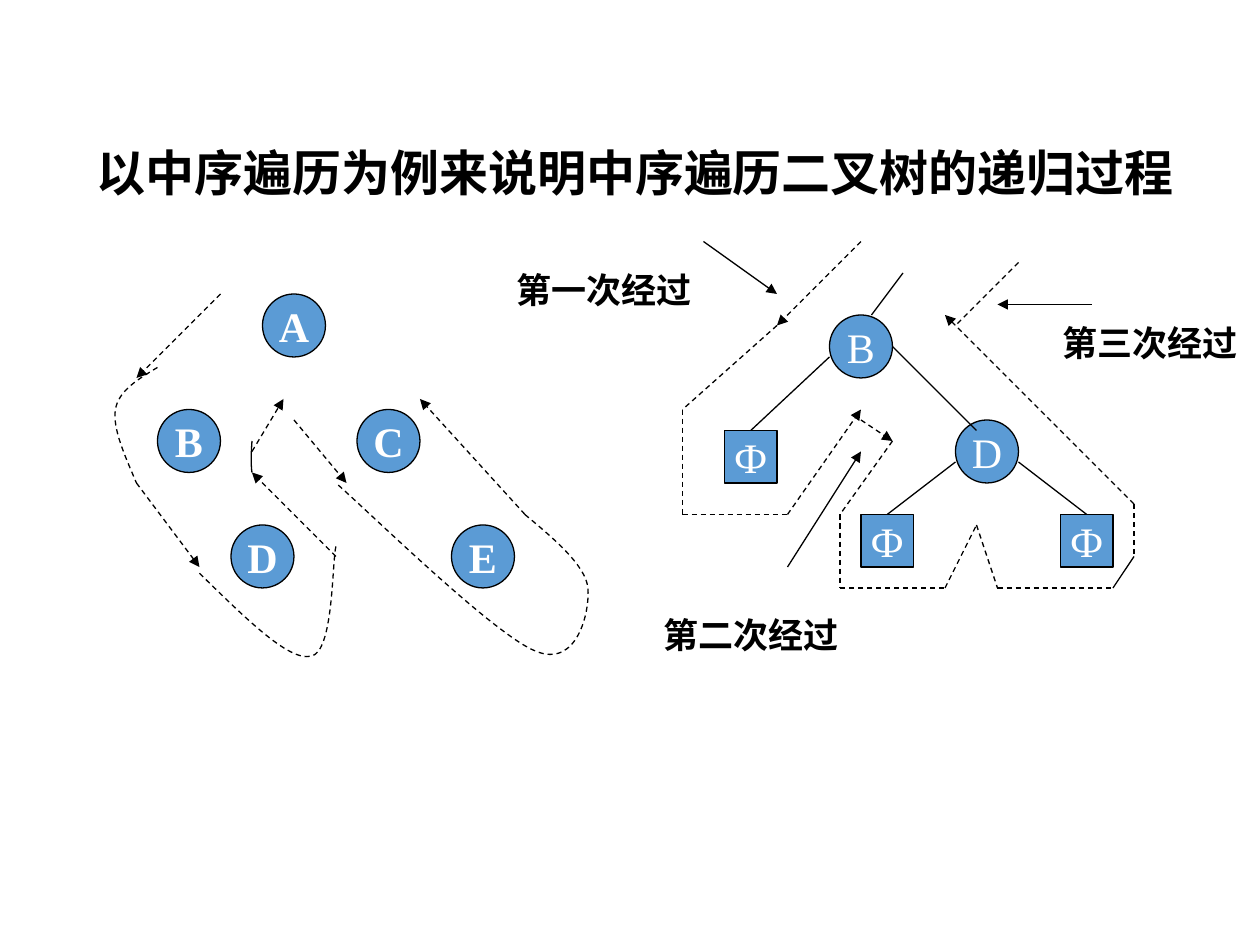
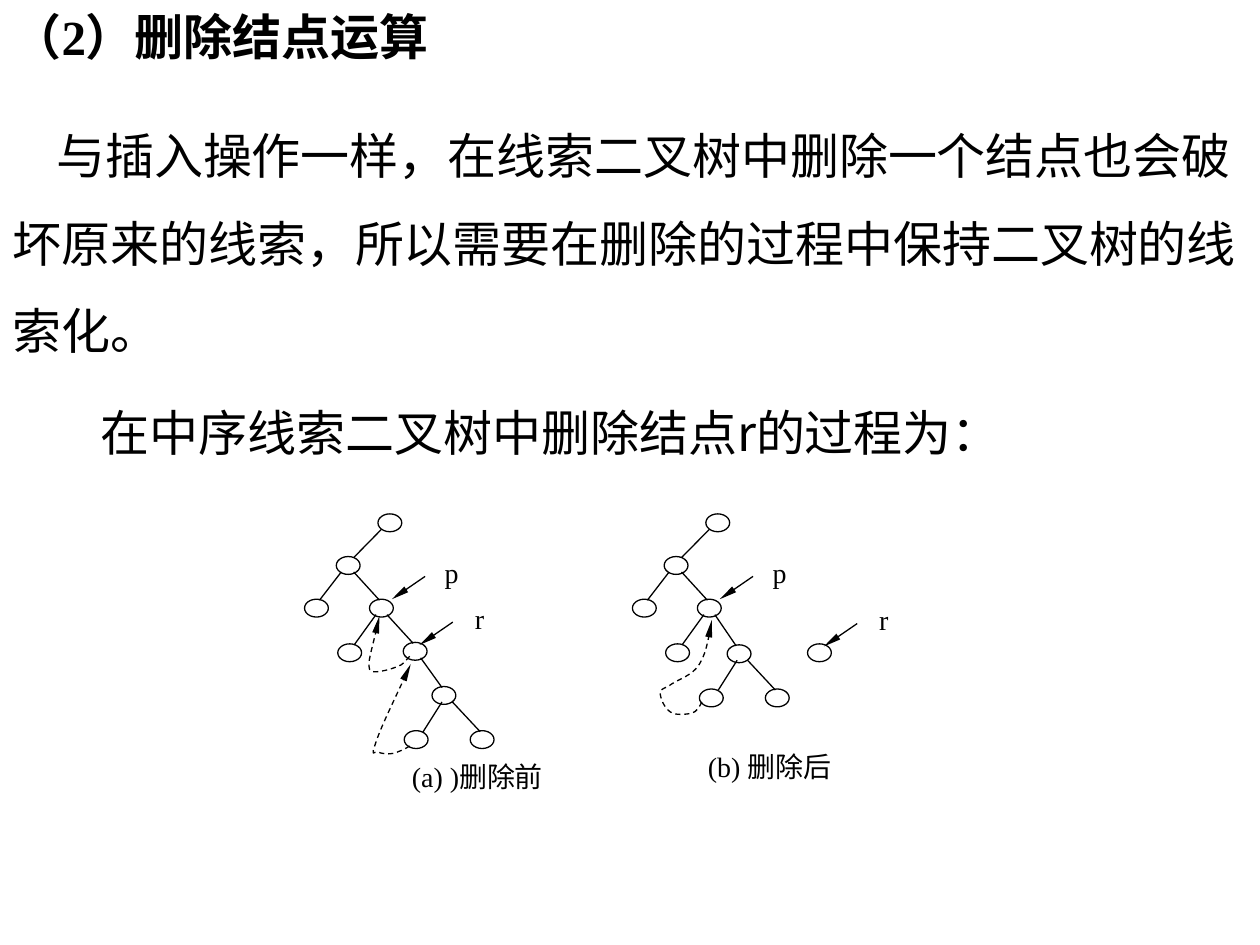
from itertools import pairwise

from lxml.etree import SubElement
from pptx import Presentation
from pptx.dml.color import RGBColor
from pptx.enum.dml import MSO_LINE
from pptx.enum.shapes import MSO_CONNECTOR, MSO_SHAPE
from pptx.enum.text import MSO_ANCHOR, MSO_AUTO_SIZE, PP_ALIGN
from pptx.oxml.ns import qn
from pptx.util import Cm, Pt

BLACK = RGBColor(0x00, 0x00, 0x00)
WHITE = RGBColor(0xFF, 0xFF, 0xFF)
NODE_BLUE = RGBColor(0x5B, 0x9B, 0xD5)
LATIN_FONT = "Times New Roman"
CHINESE_FONT = "Noto Sans CJK SC"
GRID = 2.54 / 12
NODE_WIDTH, NODE_HEIGHT = 0.48, 0.36
AFTER_SHIFT = 6.61
WIDE_ARROW = {"type": "triangle"}
SLIM_ARROW = {"type": "triangle", "w": "sm", "len": "lg"}

UPPER_NODES = {"root": (7.86, 10.54), "left": (7.02, 11.4), "leaf": (6.38, 12.26),
               "p": (7.69, 12.26), "p_left": (7.05, 13.16)}
UPPER_EDGES = [("root", "left", -0.17, 0.11), ("left", "leaf", -0.14, 0.06),
               ("left", "p", 0.11, -0.04), ("p", "p_left", -0.11, 0.09)]
LOWER_EDGES = [("child", "child_left", -0.04, 0.14), ("child", "child_right", 0.17, -0.04)]


def on_grid(*points):
    return [(x * GRID, y * GRID) for x, y in points]


def style_runs(paragraph, size, color=BLACK, bold=False, font=LATIN_FONT):
    for run in paragraph.runs:
        run.font.size = Pt(size)
        run.font.bold = bold
        run.font.name = font
        run.font.color.rgb = color
        SubElement(run.font._element, qn("a:ea"), typeface=CHINESE_FONT)


def place(shape, left, top, width, height):
    shape.left, shape.top = Cm(left), Cm(top)
    shape.width, shape.height = Cm(width), Cm(height)


def write_line(frame, text, size, align, **style):
    frame.text = text
    frame.auto_size = MSO_AUTO_SIZE.NONE
    frame.vertical_anchor = MSO_ANCHOR.MIDDLE
    frame.paragraphs[0].alignment = align
    style_runs(frame.paragraphs[0], size, **style)


def set_title(slide, text, left, top, width):
    place(slide.shapes.title, left, top, width, 1.45)
    write_line(slide.shapes.title.text_frame, text, 28, PP_ALIGN.LEFT, bold=True)


def add_label(slide, text, left, top, width, height, size, align, bold=False):
    label = slide.shapes.add_textbox(Cm(left), Cm(top), Cm(width), Cm(height))
    label.text_frame.word_wrap = True
    write_line(label.text_frame, text, size, align, bold=bold)


def style_line(line, dashed=False, arrow=None):
    line.color.rgb = BLACK
    line.width = Pt(0.75)
    if dashed:
        line.dash_style = MSO_LINE.DASH
    if arrow:
        SubElement(line._get_or_add_ln(), qn("a:tailEnd"), arrow)


def add_line(slide, start, end, dashed=False, arrow=None):
    x1, y1, x2, y2 = (Cm(value) for value in (*start, *end))
    connector = slide.shapes.add_connector(MSO_CONNECTOR.STRAIGHT, x1, y1, x2, y2)
    style_line(connector.line, dashed, arrow)
    SubElement(connector._element.spPr, qn("a:effectLst"))
    return connector


def add_route(slide, points):
    for start, end in pairwise(points):
        add_line(slide, start, end, dashed=True)


def add_curve(slide, points, dashed=True, arrow=None):
    start, *controls = [(Cm(x), Cm(y)) for x, y in points]
    builder = slide.shapes.build_freeform(*start)
    builder.add_line_segments(controls, close=False)
    curve = builder.convert_to_shape()
    outline = next(curve._element.iter(qn("a:path")))
    segments = outline.findall(qn("a:lnTo"))
    for first in range(0, len(segments), 3):
        bend = SubElement(outline, qn("a:cubicBezTo"))
        for segment in segments[first:first + 3]:
            bend.append(segment[0])
            outline.remove(segment)
    curve.shadow.inherit = False
    curve.fill.background()
    style_line(curve.line, dashed, arrow)


def add_named_node(slide, name, column, row, bold=False, kind=MSO_SHAPE.OVAL, cells=6):
    left, top, side = (Cm(cell * GRID) for cell in (column, row, cells))
    node = slide.shapes.add_shape(kind, left, top, side, side)
    node.shadow.inherit = False
    node.fill.solid()
    node.fill.fore_color.rgb = NODE_BLUE
    style_line(node.line)
    node.text_frame.word_wrap = False
    write_line(node.text_frame, name, 24, PP_ALIGN.CENTER, color=WHITE, bold=bold)
    return node


def add_small_node(slide, x, y):
    node = slide.shapes.add_shape(
        MSO_SHAPE.OVAL, Cm(x - NODE_WIDTH / 2), Cm(y - NODE_HEIGHT / 2),
        Cm(NODE_WIDTH), Cm(NODE_HEIGHT))
    node.shadow.inherit = False
    node.fill.background()
    style_line(node.line)


def add_small_tree(slide, nodes, edges):
    for x, y in nodes.values():
        add_small_node(slide, x, y)
    for parent, child, start_shift, end_shift in edges:
        (x1, y1), (x2, y2) = nodes[parent], nodes[child]
        add_line(slide, (x1 + start_shift, y1 + 0.13), (x2 + end_shift, y2 - 0.16))


def add_pointer(slide, name, x, y):
    add_line(slide, (x + 0.76, y - 0.59), (x + 0.09, y - 0.13), arrow=SLIM_ARROW)
    add_label(slide, name, x + 0.28, y - 1.09, 2.03, 0.84, 16, PP_ALIGN.CENTER)


def add_deletion_tree(slide, shift, child, r_node, link_edges):
    nodes = {name: (x + shift, y) for name, (x, y) in UPPER_NODES.items()}
    x, y = child
    nodes |= {"r": r_node, "child": child, "child_left": (x - 0.56, y + 0.89),
              "child_right": (x + 0.77, y + 0.89)}
    add_small_tree(slide, nodes, UPPER_EDGES + link_edges + LOWER_EDGES)
    p_x, p_y = nodes["p"]
    add_pointer(slide, "p", p_x + 0.12, p_y - 0.05)
    add_pointer(slide, "r", *r_node)


def add_body(slide, entries):
    body = slide.placeholders[1]
    place(body, 0, 1.83, 25.4, 8)
    frame = body.text_frame
    frame.auto_size = MSO_AUTO_SIZE.NONE
    frame.vertical_anchor = MSO_ANCHOR.TOP
    for index, (text, indent, space_before) in enumerate(entries):
        paragraph = frame.add_paragraph() if index else frame.paragraphs[0]
        paragraph.text = text
        properties = paragraph._p.get_or_add_pPr()
        properties.set("marL", "0")
        properties.set("indent", str(Cm(indent)))
        SubElement(properties, qn("a:buNone"))
        paragraph.alignment = PP_ALIGN.LEFT
        paragraph.line_spacing = Pt(50)
        paragraph.space_before = Pt(space_before)
        style_runs(paragraph, 28, font=CHINESE_FONT)


def add_traversal_loop(slide):
    for name, column, row in [("A", 25, 28), ("B", 15, 39), ("D", 22, 50),
                              ("C", 34, 39), ("E", 43, 50)]:
        add_named_node(slide, name, column, row, bold=True)
    for ends in [((21, 28), (13, 36)), ((13, 46), (19, 54)), ((32, 53), (24, 45)),
                 ((28, 40), (33, 46)), ((50, 49), (40, 38)), ((24, 43), (27, 38))]:
        add_line(slide, *on_grid(*ends), dashed=True, arrow=WIDE_ARROW)
    add_curve(slide, on_grid((24, 42), (23.9, 43.2), (23.9, 44.5), (24, 45)), dashed=False)
    for curve in [
        [(19, 54.6), (23.3, 58.8), (27.5, 63), (29.6, 62.5),
         (31.8, 62.2), (31.6, 53.6), (32, 52)],
        [(15, 35), (13.2, 36.1), (11.3, 37.2), (11, 39),
         (10.7, 40.8), (11.9, 43.4), (13, 46)],
        [(50, 49), (52.9, 51.4), (55.8, 53.9), (56, 56), (56.2, 58.2), (55, 63.7),
         (51, 62), (47, 60.4), (35.2, 48.8), (32, 46)],
    ]:
        add_curve(slide, on_grid(*curve))


def add_three_passes(slide):
    add_named_node(slide, "B", 79, 30)
    add_named_node(slide, "D", 91, 40)
    for column, row, branch in [(69, 41, (79, 34)), (82, 49, (91, 44)), (101, 49, (97, 44))]:
        empty_node = add_named_node(slide, "Ф", column, row, kind=MSO_SHAPE.RECTANGLE, cells=5)
        edge = add_line(slide, *on_grid(branch, (column + 2.5, row)))
        edge.end_connect(empty_node, 0)
    for ends in [((85, 33), (93, 41)), ((86, 26), (83, 30)), ((106, 56), (108, 53))]:
        add_line(slide, *on_grid(*ends))
    for ends in [((82, 23), (74, 31)), ((75, 49), (82, 39)),
                 ((82, 40), (85, 42)), ((108, 48), (90, 30))]:
        add_line(slide, *on_grid(*ends), dashed=True, arrow=WIDE_ARROW)
    for route in [
        [(74, 31), (65, 39), (65, 49), (75, 49)],
        [(85, 42), (80, 49), (80, 56), (90, 56), (93, 50), (95, 56), (106, 56)],
        [(108, 48), (108, 53)],
        [(97, 25), (91, 31)],
    ]:
        add_route(slide, on_grid(*route))
    for text, corner, ends in [
        ("第一次经过", (48, 25), ((67, 23), (74, 28))),
        ("第二次经过", (62, 57.8), ((75, 54), (82, 43))),
        ("第三次经过", (100, 30), ((104, 29), (95, 29))),
    ]:
        add_line(slide, *on_grid(*ends), arrow=WIDE_ARROW)
        (left, top), = on_grid(corner)
        add_label(slide, text, left, top, 4.23, 1.1, 20, PP_ALIGN.LEFT, bold=True)


def add_before_deletion(slide):
    add_deletion_tree(slide, 0, (8.95, 14.02), (8.37, 13.13),
                      [("p", "r", 0.11, -0.04), ("r", "child", 0.11, -0.04)])
    add_curve(slide, [(8.26, 13.23), (8.18, 13.31), (8.13, 13.41), (8, 13.44),
                      (7.9, 13.49), (7.62, 13.56), (7.52, 13.54), (7.44, 13.51),
                      (7.44, 13.51), (7.44, 13.34), (7.47, 13.16), (7.57, 12.8),
                      (7.65, 12.42)], arrow=SLIM_ARROW)
    add_curve(slide, [(8.26, 15.04), (8.15, 15.11), (8.03, 15.16), (7.92, 15.19),
                      (7.82, 15.21), (7.67, 15.19), (7.62, 15.16), (7.54, 15.14),
                      (7.47, 15.29), (7.57, 14.99), (7.67, 14.68), (7.98, 14.05),
                      (8.28, 13.39)], arrow=SLIM_ARROW)
    add_label(slide, "(a) )删除前", 7.68, 15.15, 3.89, 0.99, 16, PP_ALIGN.CENTER)


def add_after_deletion(slide):
    add_deletion_tree(slide, AFTER_SHIFT, (14.9, 13.18), (16.52, 13.16),
                      [("p", "child", 0.11, -0.06)])
    add_curve(slide, [(14.15, 14.15), (14.1, 14.25), (14.05, 14.35), (13.94, 14.38),
                      (13.84, 14.4), (13.61, 14.43), (13.51, 14.35), (13.39, 14.27),
                      (13.31, 14.07), (13.31, 13.97), (13.31, 13.87), (13.41, 13.89),
                      (13.54, 13.79), (13.69, 13.69), (13.97, 13.61), (14.1, 13.39),
                      (14.22, 13.18), (14.3, 12.83), (14.35, 12.5)], arrow=SLIM_ARROW)
    add_label(slide, "(b) 删除后", 13.43, 14.95, 4.17, 0.99, 16, PP_ALIGN.CENTER)


def main():
    deck = Presentation()
    deck.slide_width, deck.slide_height = Cm(25.4), Cm(19.05)

    traversal = deck.slides.add_slide(deck.slide_layouts[5])
    set_title(traversal, "以中序遍历为例来说明中序遍历二叉树的递归过程", 1.7, 2.75, 23.06)
    add_traversal_loop(traversal)
    add_three_passes(traversal)

    deletion = deck.slides.add_slide(deck.slide_layouts[1])
    set_title(deletion, "（2）删除结点运算", 0, 0, 22.66)
    add_body(deletion, [
        ("与插入操作一样，在线索二叉树中删除一个结点也会破坏原来的线索，"
         "所以需要在删除的过程中保持二叉树的线索化。", 0.88, 0),
        ("在中序线索二叉树中删除结点r的过程为：", 1.78, 8),
    ])
    add_before_deletion(deletion)
    add_after_deletion(deletion)

    deck.save("out.pptx")


if __name__ == "__main__":
    main()
